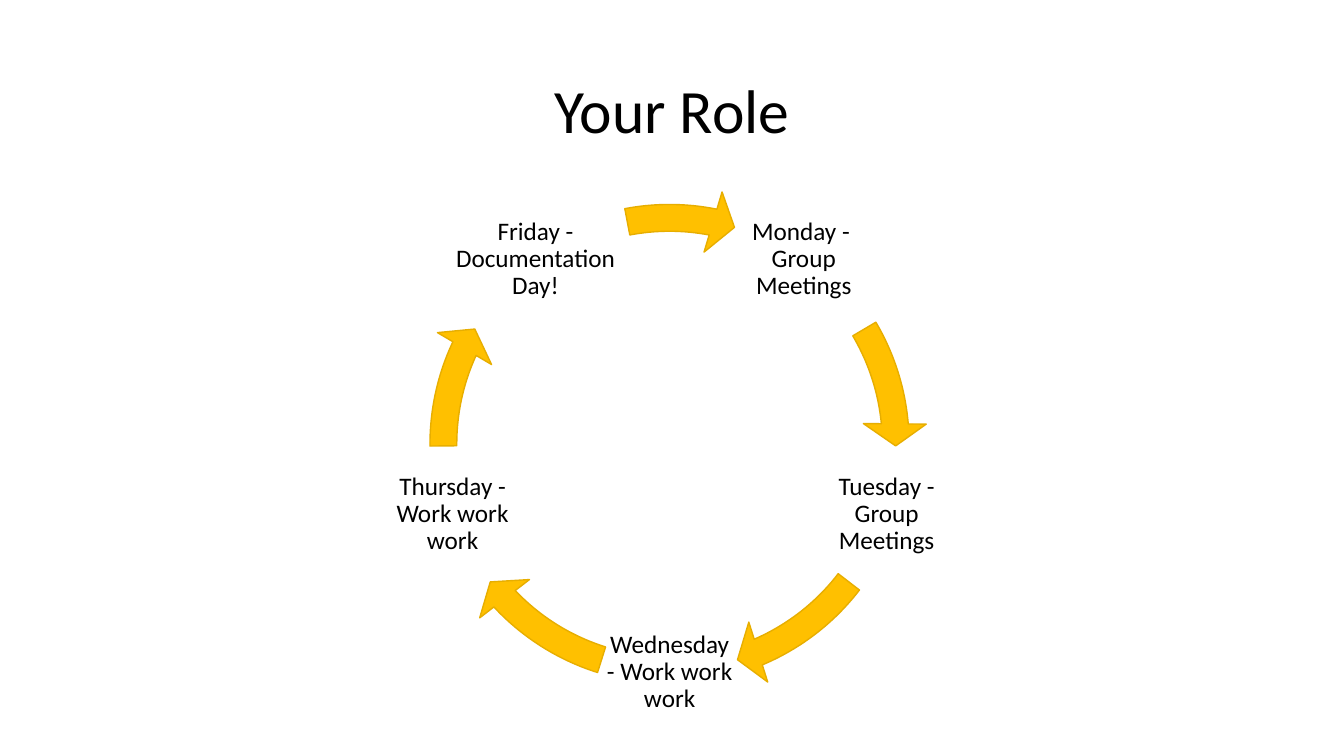
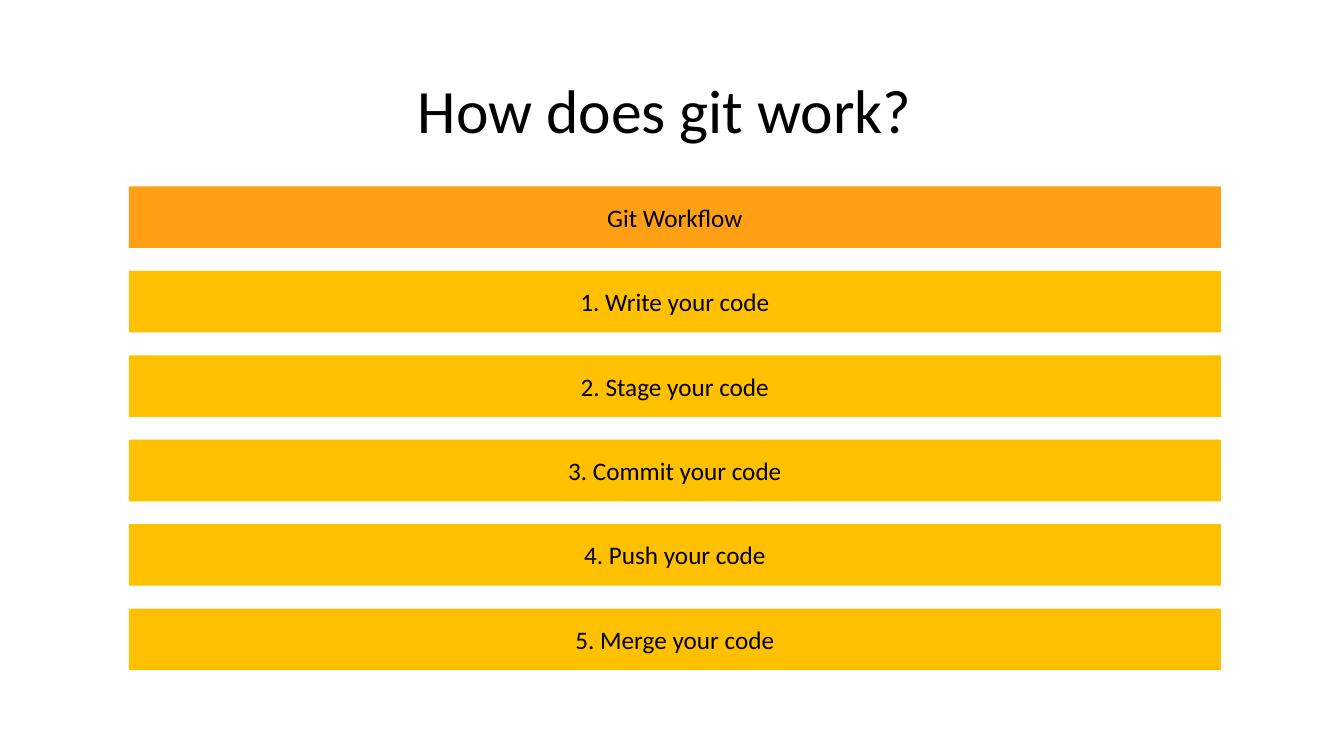
"""Build two slides: a weekly cycle and a git workflow."""
import math

from pptx import Presentation
from pptx.dml.color import RGBColor
from pptx.enum import shapes, text
from pptx.util import Pt

FONT, BLACK, GOLD, DARK_GOLD, ORANGE = "Calibri", "000000", "FFC000", "E7AE00", "FFA014"

ROLE_TITLE = "Your Role"
DAYS = [
    ("Monday -  Group Meetings", 98, (329.44, 354.88)),
    ("Tuesday - Group Meetings", 98, (37.56, 66.91)),
    ("Wednesday - Work work work", 98, (107.49, 136.84)),
    ("Thursday - Work work work", 98, (179.52, 204.96)),
    ("Friday - Documentation Day!", 131, (259.24, 281.09)),
]
CENTER_X, CENTER_Y, RADIUS = 478.3, 317.2, 163
RING, LABEL_HEIGHT, FIRST_ANGLE = 368, 98, -54
ANGLE_UNIT = 0.6

GIT_TITLE = "How does git work? "
BARS = [
    ("Git Workflow", ORANGE),
    ("1. Write your code", GOLD),
    ("2. Stage your code", GOLD),
    ("3. Commit your code", GOLD),
    ("4. Push your code", GOLD),
    ("5. Merge your code", GOLD),
]
BAR_LEFT, BAR_TOP, BAR_WIDTH, BAR_HEIGHT, BAR_STEP = 92, 133.2, 780, 44, 60.3


def color(value):
    return RGBColor.from_string(value)


def box(left, top, width, height):
    return [Pt(v) for v in (left, top, width, height)]


def write(sp, words, size=18, spacing=None):
    tf = sp.text_frame
    tf.word_wrap = True
    tf.auto_size = text.MSO_AUTO_SIZE.NONE
    tf.vertical_anchor = text.MSO_ANCHOR.MIDDLE
    p = tf.paragraphs[0]
    p.alignment = text.PP_ALIGN.CENTER
    p.line_spacing = spacing
    r = p.add_run()
    r.text = words
    r.font.name, r.font.size = FONT, Pt(size)
    r.font.color.rgb = color(BLACK)
    return tf


def add_shape(s, kind, bounds, fill, line=None):
    sp = s.shapes.add_shape(kind, *box(*bounds))
    sp.shadow.inherit = False
    sp.fill.solid()
    sp.fill.fore_color.rgb = color(fill)
    if line:
        sp.line.color.rgb = color(line)
        sp.line.width = Pt(1)
    else:
        sp.line.fill.background()
    return sp


def add_slide(prs, title):
    s = prs.slides.add_slide(prs.slide_layouts[5])
    sp = s.shapes.title
    sp.left, sp.top, sp.width, sp.height = box(66, 29, 828, 104)
    write(sp, title, 44, 0.9)
    return s


def add_label(s, words, x, y, width):
    bounds = box(x - width / 2, y - LABEL_HEIGHT / 2, width, LABEL_HEIGHT)
    tf = write(s.shapes.add_textbox(*bounds), words, spacing=0.9)
    tf.margin_left = tf.margin_right = tf.margin_top = tf.margin_bottom = Pt(2)


def add_arrow(s, start, end):
    bounds = CENTER_X - RING / 2, CENTER_Y - RING / 2, RING, RING
    sp = add_shape(s, shapes.MSO_SHAPE.CIRCULAR_ARROW, bounds, GOLD, DARK_GOLD)
    values = 0.052, 5.6 * ANGLE_UNIT, end * ANGLE_UNIT, start * ANGLE_UNIT, 0.061
    for i, value in enumerate(values):
        sp.adjustments[i] = value


def build_role(prs):
    s = add_slide(prs, ROLE_TITLE)
    for i, (words, width, sweep) in enumerate(DAYS):
        angle = math.radians(FIRST_ANGLE + i * 360 / len(DAYS))
        x = CENTER_X + RADIUS * math.cos(angle)
        y = CENTER_Y + RADIUS * math.sin(angle)
        add_label(s, words, x, y, width)
        add_arrow(s, *sweep)


def build_git(prs):
    s = add_slide(prs, GIT_TITLE)
    for i, (words, fill) in enumerate(BARS):
        bounds = BAR_LEFT, BAR_TOP + i * BAR_STEP, BAR_WIDTH, BAR_HEIGHT
        write(add_shape(s, shapes.MSO_SHAPE.RECTANGLE, bounds, fill), words)


def main():
    prs = Presentation()
    prs.slide_width, prs.slide_height = Pt(960), Pt(540)
    build_role(prs)
    build_git(prs)
    prs.save("out.pptx")


if __name__ == "__main__":
    main()
